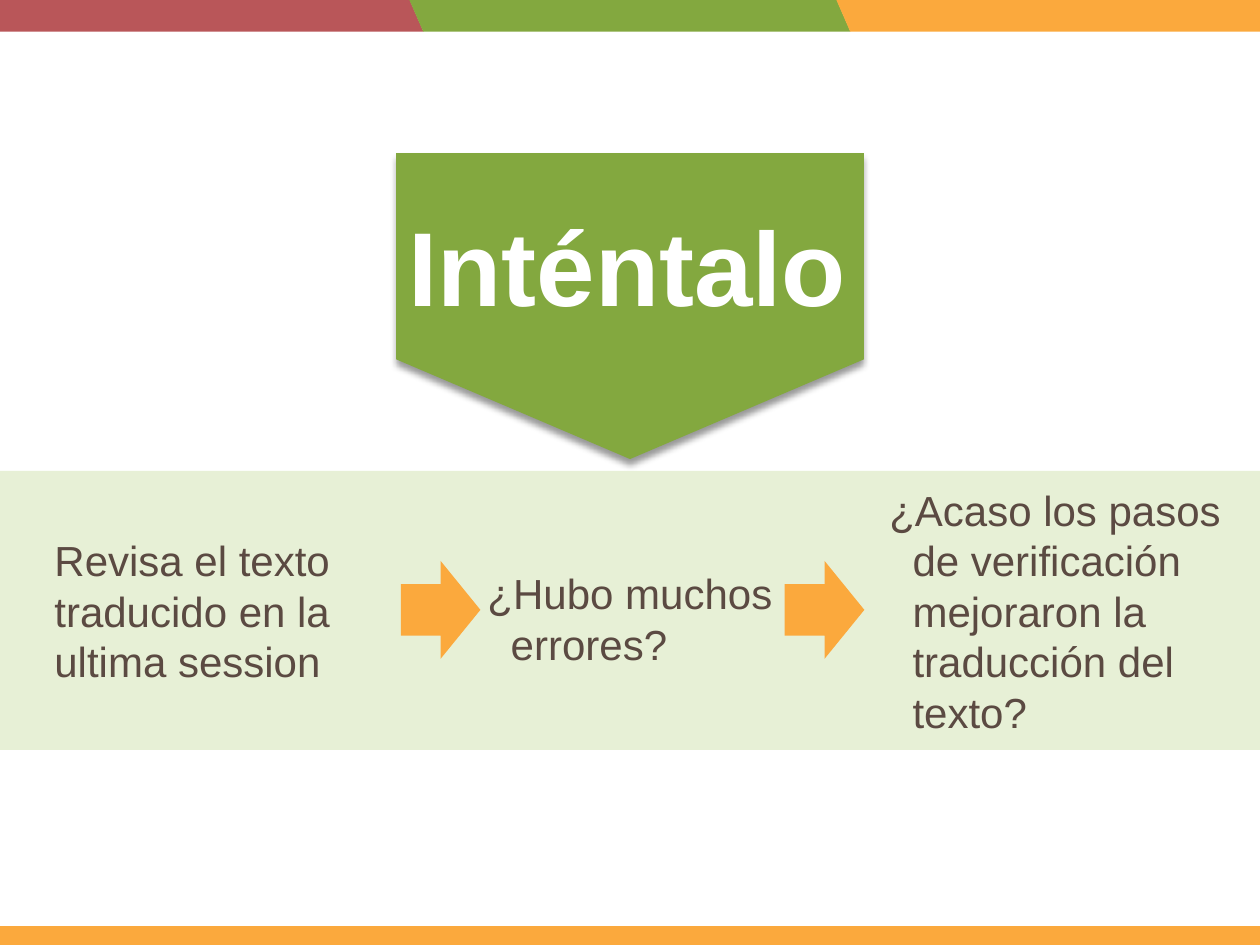
import pptx
import pptx.util
import pptx.oxml
import pptx.oxml.ns
import pptx.dml.color
import pptx.enum.shapes
import pptx.enum.text

Pt = pptx.util.Pt
Kind = pptx.enum.shapes.MSO_SHAPE
Align = pptx.enum.text.PP_ALIGN
Anchor = pptx.enum.text.MSO_ANCHOR
Fit = pptx.enum.text.MSO_AUTO_SIZE


class Theme:
    font = "Arial"
    head, body = 60, 24
    red, green, gold = "B95659", "83A83F", "FBA93D"
    pale, brown, white = "E7F0D6", "5B4A42", "FFFFFF"


def color(code):
    return pptx.dml.color.RGBColor.from_string(code)


def apply(target, values):
    for name, value in values.items():
        setattr(target, name, value)


class Page:
    """Holds the theme and the slide being filled; lengths are in points."""

    def __init__(self, slide, theme):
        self.slide, self.theme = slide, theme

    def shape(self, kind, box, fill, adjust=(), turn=0, flip=False):
        item = self.slide.shapes.add_shape(kind, *map(Pt, box))
        item.shadow.inherit = False
        item.fill.solid()
        item.fill.fore_color.rgb = color(fill)
        item.line.fill.background()
        item.rotation = turn
        for index, value in enumerate(adjust):
            item.adjustments[index] = value
        if flip:
            item._element.spPr.xfrm.set("flipH", "1")
        return item

    def shade(self, item):
        """Give the shape a soft shadow that falls straight down."""
        effects = item._element.spPr.find(pptx.oxml.ns.qn("a:effectLst"))
        effects.append(pptx.oxml.parse_xml(
            f'<a:outerShdw {pptx.oxml.ns.nsdecls("a")} blurRad="{Pt(4)}" '
            f'dist="{Pt(3)}" dir="5400000" rotWithShape="0">'
            '<a:srgbClr val="000000"><a:alpha val="40000"/></a:srgbClr>'
            '</a:outerShdw>'))

    def fill_text(self, frame, lines, anchor, align, style, indent=0):
        """Fill the frame; lines after the first are indented."""
        apply(frame, dict(word_wrap=True, auto_size=Fit.NONE,
                          vertical_anchor=anchor))
        for index, line in enumerate(lines):
            para = frame.add_paragraph() if index else frame.paragraphs[0]
            if index:
                para._p.get_or_add_pPr().set("marL", str(Pt(indent)))
            para.alignment = align
            run = para.add_run()
            run.text = line
            apply(run.font, dict(name=self.theme.font, size=Pt(style["size"]),
                                 bold=style["bold"]))
            run.font.color.rgb = color(style["tone"])

    def title(self, text, box, behind):
        """Place the title just in front of the shape behind it."""
        item = self.slide.shapes.title
        apply(item, dict(zip(("left", "top", "width", "height"), map(Pt, box))))
        style = dict(size=self.theme.head, tone=self.theme.white, bold=True)
        self.fill_text(item.text_frame, [text], Anchor.TOP, Align.CENTER, style)
        behind._element.addnext(item._element)

    def text(self, lines, box):
        item = self.slide.shapes.add_textbox(*map(Pt, box))
        style = dict(size=self.theme.body, tone=self.theme.brown, bold=False)
        self.fill_text(item.text_frame, lines, Anchor.MIDDLE, Align.LEFT,
                       style, 13.3)


def main():
    deck = pptx.Presentation()
    apply(deck, dict(slide_width=Pt(720), slide_height=Pt(540)))
    theme = Theme()
    page = Page(deck.slides.add_slide(deck.slide_layouts[5]), theme)

    for index, fill in enumerate((theme.red, theme.green, theme.gold)):
        page.shape(Kind.PARALLELOGRAM, (244 * index - 10, 0, 252, 18), fill,
                   [0.436], flip=True)
    page.shape(Kind.RECTANGLE, (0, 529.2, 720, 10.8), theme.gold)
    page.shape(Kind.RECTANGLE, (0, 269, 720, 159.5), theme.pale)

    badge = page.shape(Kind.PENTAGON, (272.6, 41.2, 174.8, 267.4), theme.green,
                       [0.326], turn=90)
    page.shade(badge)
    page.title("Inténtalo", (226, 111.6, 265, 80), badge)

    page.text(["Revisa el texto traducido en la ultima session"],
              (24, 301.7, 202.3, 94.3))
    page.text(["¿Hubo muchos", "errores?"], (271.5, 320.4, 185, 65.5))
    page.text(["¿Acaso los pasos", "de verificación", "mejoraron la",
               "traducción del", "texto?"], (501.1, 272.5, 218.9, 152.6))
    for left in (229, 448.4):
        page.shape(Kind.RIGHT_ARROW, (left, 320.5, 45.5, 56), theme.gold,
                   [0.526, 0.5])

    deck.save("out.pptx")


if __name__ == "__main__":
    main()
